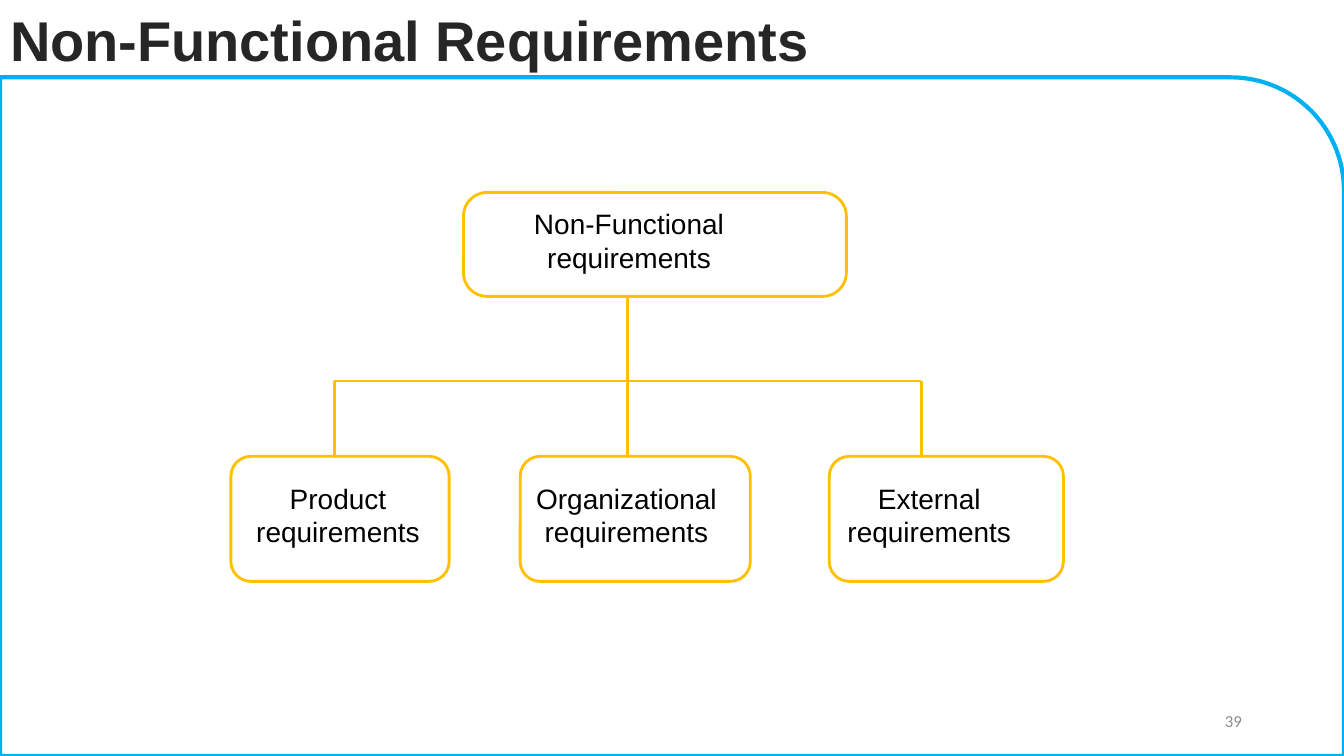
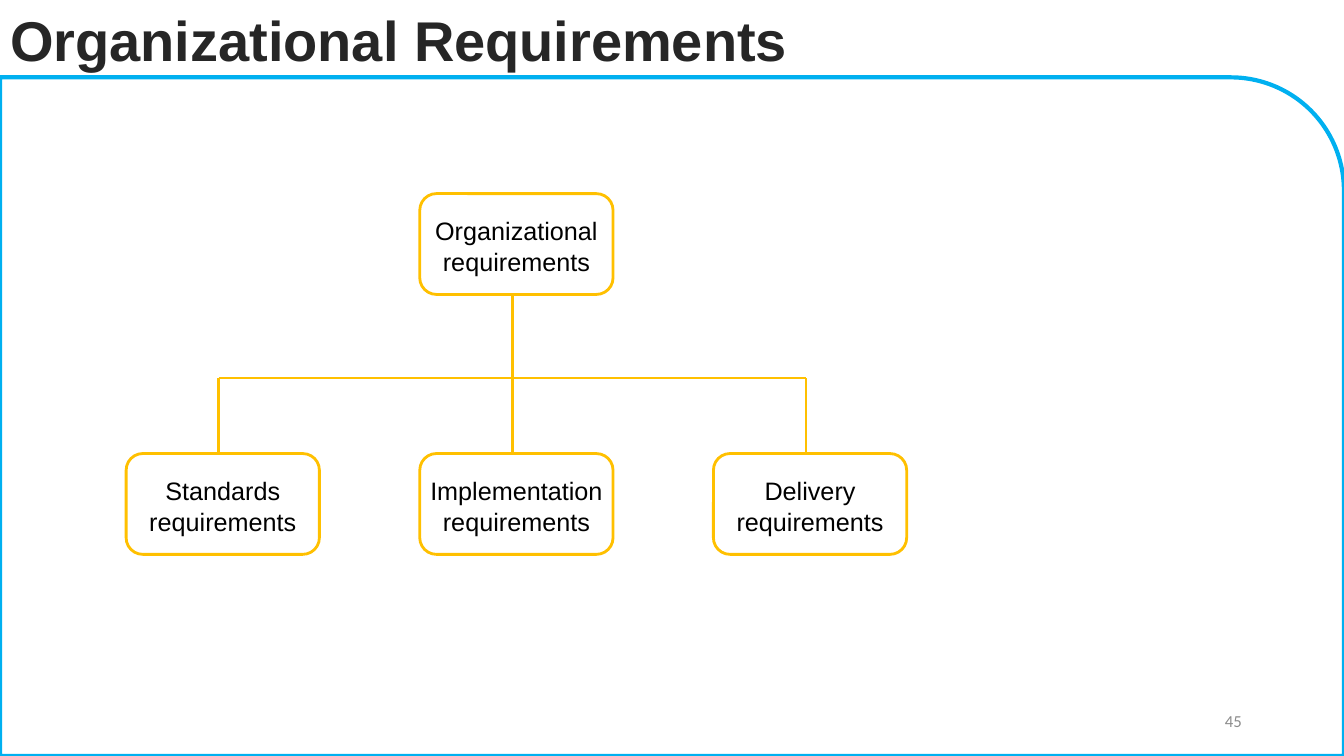
from dataclasses import dataclass

from lxml import etree
from pptx import Presentation
from pptx.dml.color import RGBColor
from pptx.enum.shapes import MSO_CONNECTOR, MSO_SHAPE
from pptx.enum.text import MSO_ANCHOR, PP_ALIGN
from pptx.oxml.ns import qn
from pptx.util import Cm, Pt

ROUND_BOX = MSO_SHAPE.ROUNDED_RECTANGLE
ROUND_CORNER_FRAME = MSO_SHAPE.ROUND_1_RECTANGLE
STRAIGHT = MSO_CONNECTOR.STRAIGHT
LEFT, CENTER, RIGHT = PP_ALIGN.LEFT, PP_ALIGN.CENTER, PP_ALIGN.RIGHT
MIDDLE = MSO_ANCHOR.MIDDLE

SLIDE_WIDTH, SLIDE_HEIGHT = 33.87, 19.05
TITLE_HEIGHT = 1.95
TITLE_ONLY_LAYOUT = 5


@dataclass(frozen=True)
class Theme:
    title_color: RGBColor = RGBColor(0x26, 0x26, 0x26)
    text_color: RGBColor = RGBColor(0, 0, 0)
    number_color: RGBColor = RGBColor(0x8C, 0x8C, 0x8C)
    paper: RGBColor = RGBColor(0xFF, 0xFF, 0xFF)
    frame: RGBColor = RGBColor(0x00, 0xB0, 0xF0)
    tree: RGBColor = RGBColor(0xFF, 0xC0, 0x00)
    font: str = "Arial"
    number_font: str = "Calibri"
    title_size: float = 40
    number_size: float = 12
    frame_line: float = 3
    tree_line: float = 2
    crossbar_line: float = 1.5


THEME = Theme()


@dataclass(frozen=True)
class Node:
    """A tree box; left is measured from the tree, lengths are in cm."""
    text: str
    left: float
    width: float
    label_shift: float = 0


@dataclass(frozen=True)
class Tree:
    """A root over its children; left and top are on the slide, the rest inside the tree."""
    left: float
    top: float
    root: Node
    children: tuple
    root_height: float
    child_top: float
    child_height: float
    stem: float
    label_size: float
    root_radius: float
    child_radius: float
    label_drop: float
    branch_gap: float = 7.4
    drop_height: float = 1.9


def write_text(shape, text, *, size, color=THEME.text_color, font=THEME.font,
               bold=False, align=CENTER, anchor=MIDDLE):
    frame = shape.text_frame
    frame.word_wrap = True
    frame.vertical_anchor = anchor
    paragraph = frame.paragraphs[0]
    paragraph.alignment = align
    run = paragraph.add_run()
    run.text = text
    run.font.name = font
    run.font.size = Pt(size)
    run.font.bold = bold
    run.font.color.rgb = color


def add_outlined_shape(slide, kind, box, color, line_width, fill=None):
    shape = slide.shapes.add_shape(kind, *map(Cm, box))
    shape.shadow.inherit = False
    if fill is None:
        shape.fill.background()
    else:
        shape.fill.solid()
        shape.fill.fore_color.rgb = fill
    shape.line.color.rgb = color
    shape.line.width = Pt(line_width)
    return shape


def add_line(slide, start, end, width=THEME.tree_line):
    line = slide.shapes.add_connector(STRAIGHT, *map(Cm, start + end))
    line.line.color.rgb = THEME.tree
    line.line.width = Pt(width)
    etree.SubElement(line._element.spPr, qn("a:effectLst"))


def place_title(layout):
    title = layout.placeholders[0]
    title.left, title.top = Cm(0), Cm(0)
    title.width, title.height = Cm(25.32), Cm(TITLE_HEIGHT)


def add_framed_slide(presentation, title, number):
    """Add a slide with the title, blue frame and number that all slides share."""
    slide = presentation.slides.add_slide(presentation.slide_layouts[TITLE_ONLY_LAYOUT])
    write_text(slide.shapes.title, title, size=THEME.title_size,
               color=THEME.title_color, bold=True, align=LEFT)
    frame_box = (0, TITLE_HEIGHT, SLIDE_WIDTH, SLIDE_HEIGHT - TITLE_HEIGHT)
    add_outlined_shape(slide, ROUND_CORNER_FRAME, frame_box, THEME.frame,
                       THEME.frame_line, fill=THEME.paper)
    number_box = slide.shapes.add_textbox(Cm(23.93), Cm(17.65), Cm(7.62), Cm(1.02))
    write_text(number_box, str(number), size=THEME.number_size, align=RIGHT,
               color=THEME.number_color, font=THEME.number_font)
    return slide


def add_node(slide, tree, node, top, height, radius):
    """Draw a box; its insets move the label off centre by the node's shift."""
    box = (tree.left + node.left, top, node.width, height)
    shape = add_outlined_shape(slide, ROUND_BOX, box, THEME.tree, THEME.tree_line)
    shape.adjustments[0] = radius / min(node.width, height)
    frame = shape.text_frame
    frame.margin_left = Cm(max(2 * node.label_shift, 0))
    frame.margin_right = Cm(max(-2 * node.label_shift, 0))
    frame.margin_top = Cm(max(2 * tree.label_drop, 0))
    frame.margin_bottom = Cm(max(-2 * tree.label_drop, 0))
    write_text(shape, node.text, size=tree.label_size)


def add_tree(slide, tree):
    child_top = tree.top + tree.child_top
    add_node(slide, tree, tree.root, tree.top, tree.root_height, tree.root_radius)
    for child in tree.children:
        add_node(slide, tree, child, child_top, tree.child_height, tree.child_radius)

    stem = tree.left + tree.stem
    crossbar = child_top - tree.drop_height
    first, last = stem - tree.branch_gap, stem + tree.branch_gap
    add_line(slide, (stem, tree.top + tree.root_height), (stem, child_top))
    for branch in (first, last):
        add_line(slide, (branch, crossbar), (branch, child_top))
    add_line(slide, (first, crossbar), (last, crossbar), THEME.crossbar_line)


NON_FUNCTIONAL = Tree(
    left=5.82, top=4.85,
    root=Node("Non-Functional requirements", 5.86, 9.65, label_shift=-0.65),
    children=(
        Node("Product requirements", 0, 5.5, label_shift=-0.05),
        Node("Organizational requirements", 7.29, 5.8, label_shift=-0.22),
        Node("External requirements", 15.08, 5.9, label_shift=-0.43),
    ),
    root_height=2.62, child_top=6.65, child_height=3.15, stem=10,
    label_size=20, root_radius=0.6, child_radius=0.5, label_drop=-0.1,
)

CHILD_WIDTH, CHILD_PITCH = 4.87, 7.4
ORGANIZATIONAL = Tree(
    left=3.18, top=4.88,
    root=Node("Organizational requirements", CHILD_PITCH, CHILD_WIDTH),
    children=tuple(
        Node(f"{kind} requirements", index * CHILD_PITCH, CHILD_WIDTH)
        for index, kind in enumerate(("Standards", "Implementation", "Delivery"))
    ),
    root_height=2.54, child_top=6.55, child_height=2.54, stem=9.73,
    label_size=18, root_radius=0.42, child_radius=0.42, label_drop=0.05,
)

SLIDES = (
    ("Non-Functional Requirements", 39, NON_FUNCTIONAL),
    ("Organizational Requirements", 45, ORGANIZATIONAL),
)


def main():
    presentation = Presentation()
    presentation.slide_width = Cm(SLIDE_WIDTH)
    presentation.slide_height = Cm(SLIDE_HEIGHT)
    place_title(presentation.slide_layouts[TITLE_ONLY_LAYOUT])
    for title, number, tree in SLIDES:
        add_tree(add_framed_slide(presentation, title, number), tree)
    presentation.save("out.pptx")


if __name__ == "__main__":
    main()
